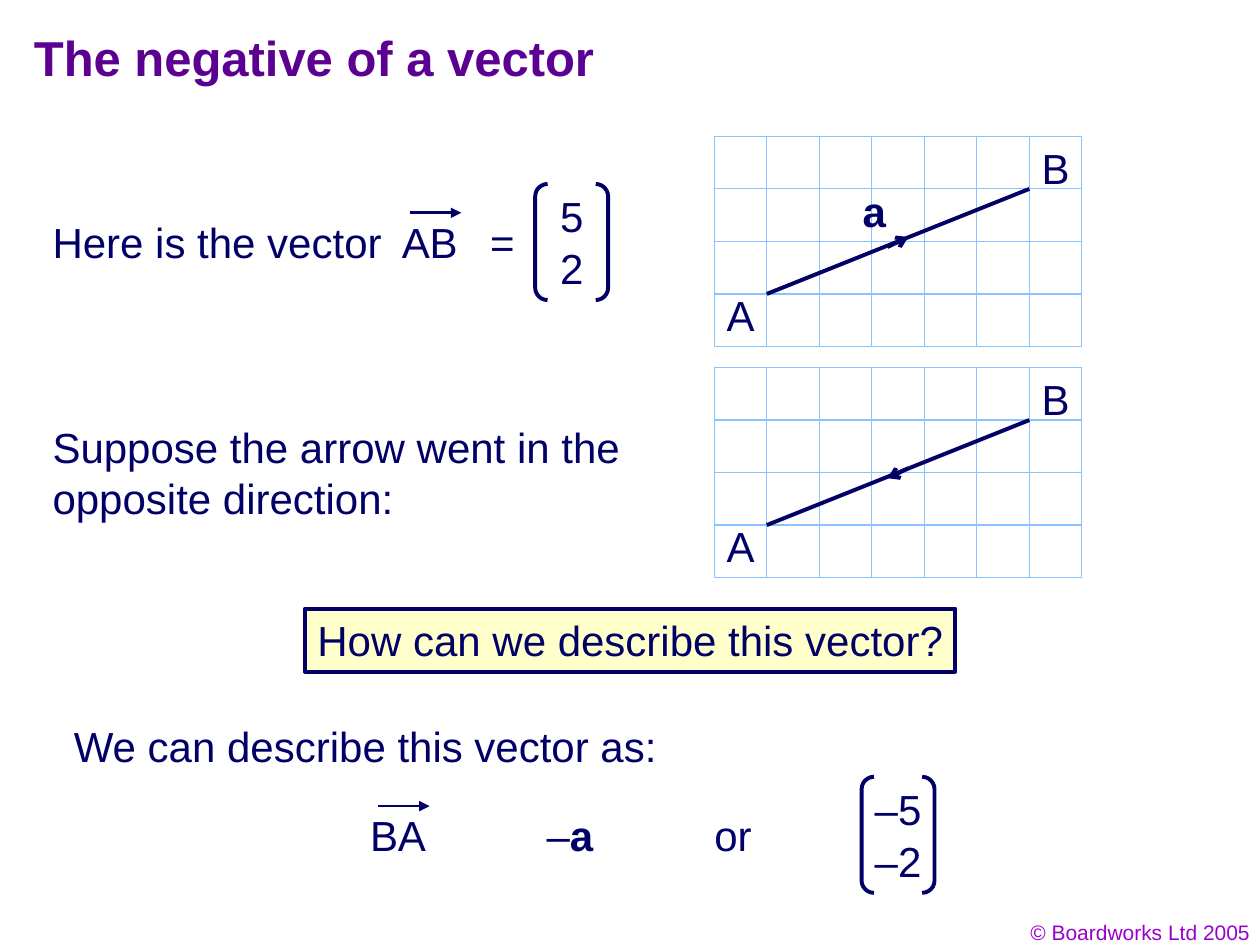
from dataclasses import dataclass
from itertools import product

from lxml import etree
from pptx import Presentation
from pptx.dml.color import RGBColor
from pptx.enum import shapes, text
from pptx.oxml import ns
from pptx.util import Cm, Pt

NAVY = RGBColor(0x00, 0x00, 0x66)
INK = RGBColor(0x01, 0x00, 0x66)
PURPLE = RGBColor(0x5B, 0x00, 0x91)
VIOLET = RGBColor(0x99, 0x00, 0xCC)
GRID_BLUE = RGBColor(0x89, 0xC4, 0xFF)
CREAM = RGBColor(0xFF, 0xFF, 0xCC)
WHITE = RGBColor(0xFF, 0xFF, 0xFF)

CELL = 25.4 / 24  # the slide is 24 grid cells wide
COLUMNS, ROWS = 7, 4
LINE_HEIGHT = 1.27
BRACKET_WIDTH, BRACKET_HEIGHT = 1.47, 2.34
BODY = {"name": "Arial", "size": Pt(24), "bold": False}


@dataclass
class Label:
    """A text in centimetres; bold_text follows the plain text."""
    plain: str
    left: float
    top: float
    width: float
    bold_text: str = ""
    height: float = LINE_HEIGHT
    wrap: bool = False
    align: text.PP_ALIGN = text.PP_ALIGN.LEFT


@dataclass
class VectorGrid:
    left: float
    top: float
    name: str
    reversed: bool


@dataclass
class ColumnVector:
    left: float
    top: float
    entries: tuple[str, str]


LABELS = [
    Label("Here is the vector", 0.81, 4.24, 9.35, wrap=True),
    Label("=", 9.63, 4.24, 0.99),
    Label("Suppose the arrow went in the opposite direction:",
          0.81, 8.38, 12.52, height=2.29, wrap=True),
    Label("We can describe this vector as:", 1.24, 14.4, 12.3),
    Label("–", 10.77, 16.2, 1.5, bold_text="a"),
    Label("or", 14.15, 16.2, 1.5, wrap=True),
]
ARROW_LABELS = [Label("AB", 7.85, 4.24, 1.63), Label("BA", 7.21, 16.2, 1.63)]
COLUMN_VECTORS = [
    ColumnVector(10.79, 3.71, ("5", "2")),
    ColumnVector(17.37, 15.66, ("–5", "–2")),
]
GRIDS = [
    VectorGrid(14.4, 2.75, "a", False),
    VectorGrid(14.4, 7.41, "", True),
]


def add_run(para, content: str, color: RGBColor, **changes) -> None:
    span = para.add_run()
    span.text = content
    for key, value in {**BODY, **changes}.items():
        setattr(span.font, key, value)
    span.font.color.rgb = color


def add_label(page, label: Label, color: RGBColor = INK, **changes) -> None:
    box = page.shapes.add_textbox(Cm(label.left), Cm(label.top),
                                  Cm(label.width), Cm(label.height))
    box.text_frame.word_wrap = label.wrap
    para = box.text_frame.paragraphs[0]
    para.alignment = label.align
    if label.plain:
        add_run(para, label.plain, color, **changes)
    if label.bold_text:
        add_run(para, label.bold_text, color, bold=True)


def add_shape(page, preset, left: float, top: float, width: float, height: float,
              line: RGBColor, weight: float, fill: RGBColor | None = None):
    shape = page.shapes.add_shape(preset, Cm(left), Cm(top), Cm(width), Cm(height))
    shape.shadow.inherit = False
    if fill is None:
        shape.fill.background()
    else:
        shape.fill.solid()
        shape.fill.fore_color.rgb = fill
    shape.line.color.rgb = line
    shape.line.width = Pt(weight)
    return shape


def add_line(page, start: tuple[float, float], end: tuple[float, float],
             weight: float, head: str = "") -> None:
    """Draw a line, with an arrowhead of type head at its end."""
    line = page.shapes.add_connector(shapes.MSO_CONNECTOR.STRAIGHT,
                                     *(Cm(value) for value in start + end))
    line.line.color.rgb = NAVY
    line.line.width = Pt(weight)
    if head:
        etree.SubElement(line.line._get_or_add_ln(), ns.qn("a:tailEnd"), type=head)
    etree.SubElement(line._element.spPr, ns.qn("a:effectLst"))


def add_arrow_label(page, label: Label) -> None:
    """Write two letters with a vector arrow over them."""
    add_label(page, label)
    left, top = label.left + 0.41, label.top + 0.05
    add_line(page, (left, top), (left + 1.04, top), 1.5, "triangle")


def add_column_vector(page, vector: ColumnVector) -> None:
    bracket = add_shape(page, shapes.MSO_SHAPE.DOUBLE_BRACKET, vector.left, vector.top,
                        BRACKET_WIDTH, BRACKET_HEIGHT, NAVY, 2.25)
    bracket.adjustments[0] = 0.17
    for row, entry in enumerate(vector.entries):
        add_label(page, Label(entry, vector.left, vector.top + row * CELL,
                              BRACKET_WIDTH, align=text.PP_ALIGN.CENTER))


def add_vector_grid(page, grid: VectorGrid) -> None:
    def at(x: float, y: float) -> tuple[float, float]:
        return grid.left + x, grid.top + y

    for row, column in product(range(ROWS), range(COLUMNS)):
        add_shape(page, shapes.MSO_SHAPE.RECTANGLE, *at(column * CELL, row * CELL),
                  CELL, CELL, GRID_BLUE, 0.75, WHITE)
    add_line(page, at(CELL, 3 * CELL), at(6 * CELL, CELL), 2.25)
    mark = [at(3.49, 2.23), at(3.91, 2.03)]
    if grid.reversed:
        mark.reverse()
    add_line(page, *mark, 2.25, "arrow")
    if grid.name:
        add_label(page, Label("", *at(2.74, 0.86), 0.97, bold_text=grid.name))
    add_label(page, Label("A", *at(0, 2.96), CELL))
    add_label(page, Label("B", *at(6 * CELL, 0), CELL))


def add_title(page) -> None:
    title = page.shapes.title
    place = {"left": 0.43, "top": 0.43, "width": 21.59, "height": 1.7}
    for key, value in place.items():
        setattr(title, key, Cm(value))
    frame = title.text_frame
    frame.auto_size = text.MSO_AUTO_SIZE.NONE
    frame.vertical_anchor = text.MSO_ANCHOR.TOP
    para = frame.paragraphs[0]
    para.alignment = text.PP_ALIGN.LEFT
    add_run(para, "The negative of a vector", PURPLE, size=Pt(28), bold=True)


def add_question(page) -> None:
    box = add_shape(page, shapes.MSO_SHAPE.RECTANGLE, 6.15, 12.27, 13.11, LINE_HEIGHT,
                    NAVY, 2.25, CREAM)
    box.text_frame.word_wrap = False
    para = box.text_frame.paragraphs[0]
    para.alignment = text.PP_ALIGN.CENTER
    add_run(para, "How can we describe this vector?", INK)


def main() -> None:
    deck = Presentation()
    deck.slide_width, deck.slide_height = Cm(25.4), Cm(19.05)
    page = deck.slides.add_slide(deck.slide_layouts.get_by_name("Title Only"))
    add_title(page)
    add_label(page, Label("© Boardworks Ltd 2005", 19.53, 18.42, 5.92, height=0.76,
                          wrap=True, align=text.PP_ALIGN.RIGHT), VIOLET, size=Pt(12))
    for label in LABELS:
        add_label(page, label)
    for label in ARROW_LABELS:
        add_arrow_label(page, label)
    for vector in COLUMN_VECTORS:
        add_column_vector(page, vector)
    for grid in GRIDS:
        add_vector_grid(page, grid)
    add_question(page)
    deck.save("out.pptx")


if __name__ == "__main__":
    main()
